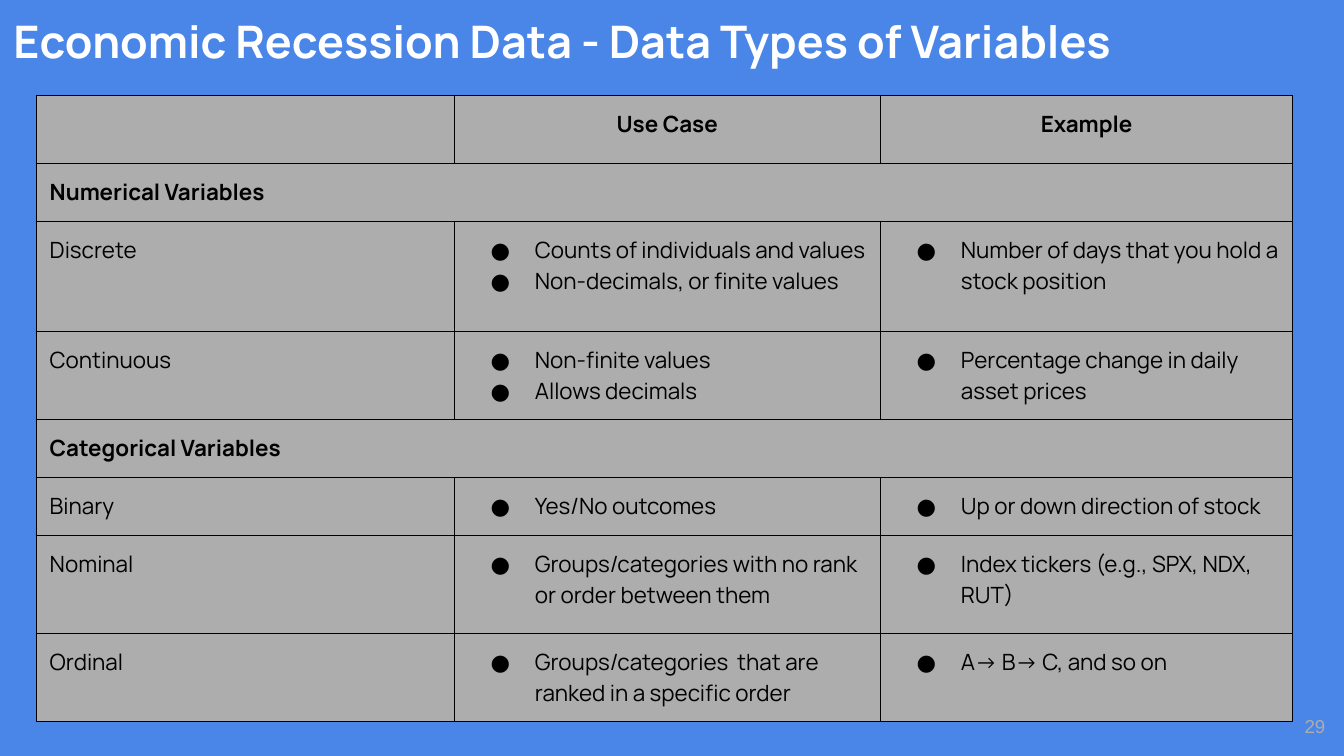
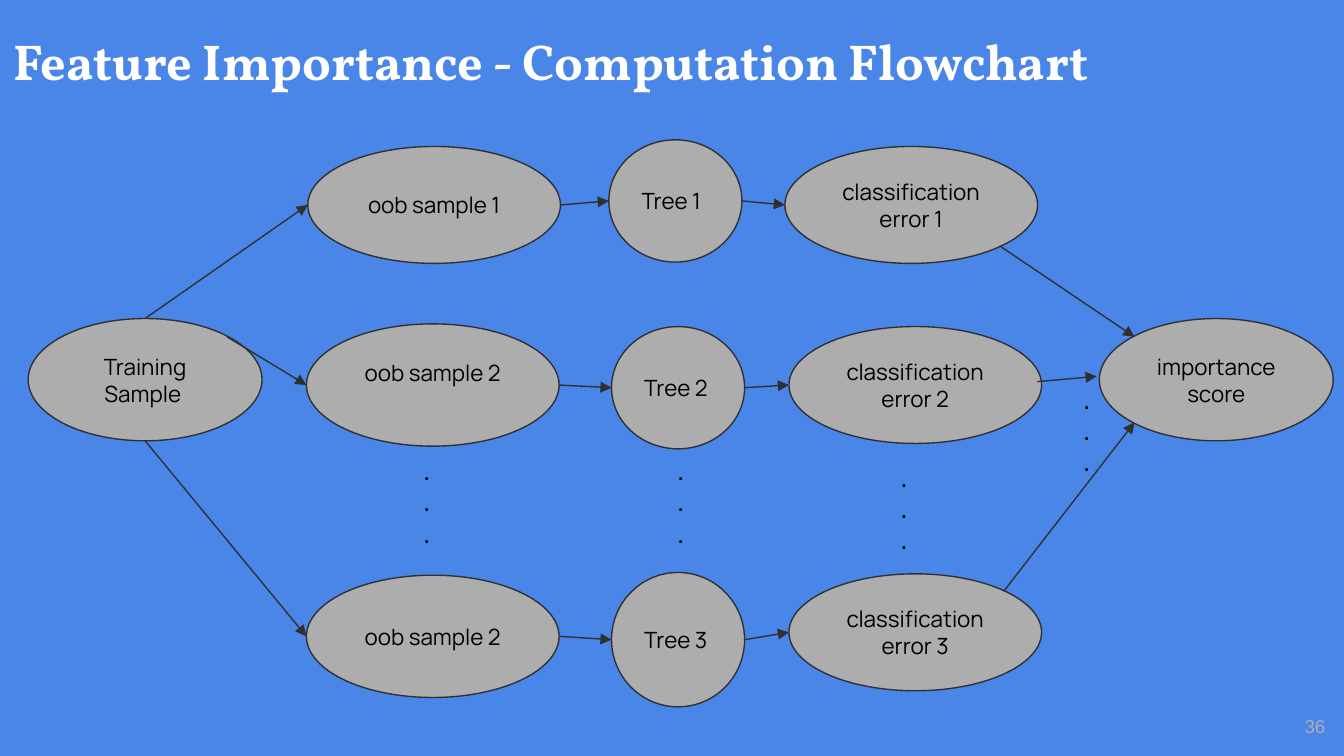
from lxml import etree
from pptx import Presentation, util as u
from pptx.dml.color import RGBColor
from pptx.enum import shapes, text
from pptx.oxml import ns

BLUE, GREY, DARK, BLACK, WHITE = "4A86E8", "ADADAD", "303030", "000000", "FFFFFF"
LEFT, CENTER, RIGHT = text.PP_ALIGN.LEFT, text.PP_ALIGN.CENTER, text.PP_ALIGN.RIGHT
TOP, MIDDLE = text.MSO_ANCHOR.TOP, text.MSO_ANCHOR.MIDDLE
FIXED, SHRINK = text.MSO_AUTO_SIZE.NONE, text.MSO_AUTO_SIZE.TEXT_TO_FIT_SHAPE

MARGINS = {f"margin_{side}": u.Inches(0.1) for side in ("left", "right", "top", "bottom")}
TOP_FRAME = {**MARGINS, "word_wrap": True, "auto_size": FIXED, "vertical_anchor": TOP}
MIDDLE_FRAME = {**TOP_FRAME, "vertical_anchor": MIDDLE}
NODE_FRAME = {**MIDDLE_FRAME, "auto_size": SHRINK}

BODY = {"name": "Manrope", "size": u.Pt(12), "bold": False}
HEADING = {**BODY, "bold": True}
PAGE_NUMBER = {"name": "Arial", "size": u.Pt(10)}
DOTS = {"name": "Arial", "size": u.Pt(14)}


def paint(fill, colour):
    fill.solid()
    fill.fore_color.rgb = RGBColor.from_string(colour)


def write(frame, lines, font, colour=BLACK, align=LEFT, layout=None):
    for name, value in (layout or {}).items():
        setattr(frame, name, value)
    for i, line in enumerate(lines):
        paragraph = frame.add_paragraph() if i else frame.paragraphs[0]
        paragraph.alignment = align
        run = paragraph.add_run()
        run.text = line
        for name, value in font.items():
            setattr(run.font, name, value)
        paint(run.font.fill, colour)


# Widescreen, 16 to 9
prs = Presentation()
prs.slide_width, prs.slide_height = u.Inches(10), u.Inches(10 * 9 / 16)
paint(prs.slide_master.background.fill, BLUE)

# Titles and page numbers
slides = []
for heading, page, top, font, size in [
    ("Economic Recession Data - Data Types of Variables", "29", 0, "Manrope", 24),
    ("Feature Importance - Computation Flowchart", "36", 0.12, "Vollkorn", 27),
]:
    slide = prs.slides.add_slide(prs.slide_layouts[5])
    slides.append(slide)
    title = slide.shapes.title
    title.left, title.top = 0, u.Inches(top)
    title.width, title.height = u.Inches(10), u.Inches(0.63)
    write(title.text_frame, [heading], {"name": font, "size": u.Pt(size), "bold": True},
          WHITE, layout=TOP_FRAME)
    number = slide.shapes.add_textbox(*map(u.Inches, (9.36, 5.19, 0.6, 0.43)))
    write(number.text_frame, [page], PAGE_NUMBER, GREY, RIGHT, MIDDLE_FRAME)

variables_slide, flowchart_slide = slides

# Table of variable types: a row with one entry spans all columns
variable_rows = [
    (0.48, "", ["Use Case"], ["Example"]),
    (0.43, "Numerical Variables"),
    (0.82, "Discrete", ["Counts of individuals and values", "Non-decimals, or finite values"],
     ["Number of days that you hold a stock position"]),
    (0.65, "Continuous", ["Non-finite values", "Allows decimals"],
     ["Percentage change in daily asset prices"]),
    (0.43, "Categorical Variables"),
    (0.43, "Binary", ["Yes/No outcomes"], ["Up or down direction of stock"]),
    (0.73, "Nominal", ["Groups/categories with no rank or order between them"],
     ["Index tickers (e.g., SPX, NDX, RUT)"]),
    (0.65, "Ordinal", ["Groups/categories  that are ranked in a specific order"],
     ["A-> B→ C, and so on"]),
]
column_widths = [3.11, 3.17, 3.07]
table_height = sum(row[0] for row in variable_rows)
variables = variables_slide.shapes.add_table(
    len(variable_rows), len(column_widths),
    *map(u.Inches, (0.27, 0.71, sum(column_widths), table_height))).table
variables.first_row = variables.horz_banding = False
for column, width in zip(variables.columns, column_widths):
    column.width = u.Inches(width)

for r, (height, name, *details) in enumerate(variable_rows):
    variables.rows[r].height = u.Inches(height)
    is_header, is_section = r == 0, not details
    if is_section:
        variables.cell(r, 0).merge(variables.cell(r, len(column_widths) - 1))
    if name:
        write(variables.cell(r, 0).text_frame, [name], HEADING if is_section else BODY)
    for c, lines in enumerate(details, 1):
        frame = variables.cell(r, c).text_frame
        write(frame, lines, HEADING if is_header else BODY,
              align=CENTER if is_header else LEFT)
        if is_header:
            continue
        for paragraph in frame.paragraphs:
            bullet = paragraph._p.get_or_add_pPr()
            bullet.set("marL", str(u.Inches(0.5)))
            bullet.set("indent", str(u.Inches(-0.33)))
            bullet_colour = etree.SubElement(bullet, ns.qn("a:buClr"))
            etree.SubElement(bullet_colour, ns.qn("a:srgbClr"), val=BLACK)
            etree.SubElement(bullet, ns.qn("a:buSzPts"), val="1200")
            etree.SubElement(bullet, ns.qn("a:buFont"), typeface="Manrope")
            etree.SubElement(bullet, ns.qn("a:buChar"), char="●")

# Cell fills, margins and borders
for cell in variables.iter_cells():
    for name, value in MARGINS.items():
        setattr(cell, name, value)
    paint(cell.fill, GREY)
    properties = cell._tc.get_or_add_tcPr()
    for i, side in enumerate(("lnL", "lnR", "lnT", "lnB")):
        border = etree.Element(ns.qn(f"a:{side}"), w=str(u.Pt(0.75)))
        border_fill = etree.SubElement(border, ns.qn("a:solidFill"))
        etree.SubElement(border_fill, ns.qn("a:srgbClr"), val=BLACK)
        properties.insert(i, border)

# Flowchart nodes: label, alignment, left, top, width, height
nodes = {
    "training": ("Training Sample ", CENTER, 0.21, 2.37, 1.74, 0.91),
    "oob1": ("oob sample 1", CENTER, 2.29, 1.09, 1.88, 0.87),
    "oob2": ("oob sample 2", CENTER, 2.28, 2.41, 1.88, 0.91),
    "oob3": ("oob sample 2", CENTER, 2.28, 4.28, 1.88, 0.91),
    "tree1": ("Tree 1", LEFT, 4.53, 1.04, 0.99, 0.91),
    "tree2": ("Tree 2", LEFT, 4.55, 2.43, 0.99, 0.91),
    "tree3": ("Tree 3", LEFT, 4.55, 4.26, 0.99, 1),
    "error1": ("classification error 1", CENTER, 5.84, 1.09, 1.88, 0.87),
    "error2": ("classification error 2", CENTER, 5.87, 2.43, 1.88, 0.87),
    "error3": ("classification error 3", CENTER, 5.87, 4.27, 1.88, 0.87),
    "score": ("importance score", CENTER, 8.18, 2.37, 1.74, 0.91),
}
# Points on an ellipse as shares of its width and height
sites = {"top": (0.5, 0), "bottom": (0.5, 1), "left": (0, 0.5), "right": (1, 0.5),
         "top left": (0.15, 0.15), "top right": (0.85, 0.15),
         "bottom left": (0.15, 0.85), "bottom right": (0.85, 0.85)}
points = {}
for key, (label, align, left, top, width, height) in nodes.items():
    node = flowchart_slide.shapes.add_shape(
        shapes.MSO_SHAPE.OVAL, *map(u.Inches, (left, top, width, height)))
    node.shadow.inherit = False
    paint(node.fill, GREY)
    paint(node.line.fill, DARK)
    node.line.width = u.Pt(0.75)
    write(node.text_frame, [label], BODY, align=align, layout=NODE_FRAME)
    if key == "oob2":
        node.text_frame.margin_bottom = u.Inches(0.28)  # lifts the label
    for site, (x, y) in sites.items():
        points[key, site] = (left + x * width, top + y * height)

# Arrows: along each branch, then out of the sample and into the score
arrows = [(points[start + branch, "right"], points[end + branch, "left"])
          for branch in "123" for start, end in (("oob", "tree"), ("tree", "error"))]
arrows += [(points["training", site], points["oob" + branch, "left"])
           for branch, site in zip("123", ("top", "top right", "bottom"))]
arrows += [
    (points["error1", "bottom right"], points["score", "top left"]),
    ((7.72, 2.84), (8.16, 2.8)),
    (points["error3", "top right"], points["score", "bottom left"]),
]
for start, end in arrows:
    arrow = flowchart_slide.shapes.add_connector(
        shapes.MSO_CONNECTOR.STRAIGHT, *map(u.Inches, start + end))
    paint(arrow.line.fill, DARK)
    arrow.line.width = u.Pt(0.75)
    etree.SubElement(arrow.line._get_or_add_ln(), ns.qn("a:tailEnd"), type="triangle")
    etree.SubElement(arrow._element.spPr, ns.qn("a:effectLst"))

# Vertical dots for further branches
for left, top in [(3.05, 3.28), (4.94, 3.28), (6.6, 3.33), (7.96, 2.75)]:
    dots = flowchart_slide.shapes.add_textbox(*map(u.Inches, (left, top, 0.35, 0.91)))
    write(dots.text_frame, ["."] * 3, DOTS, layout=TOP_FRAME)

prs.save("out.pptx")
